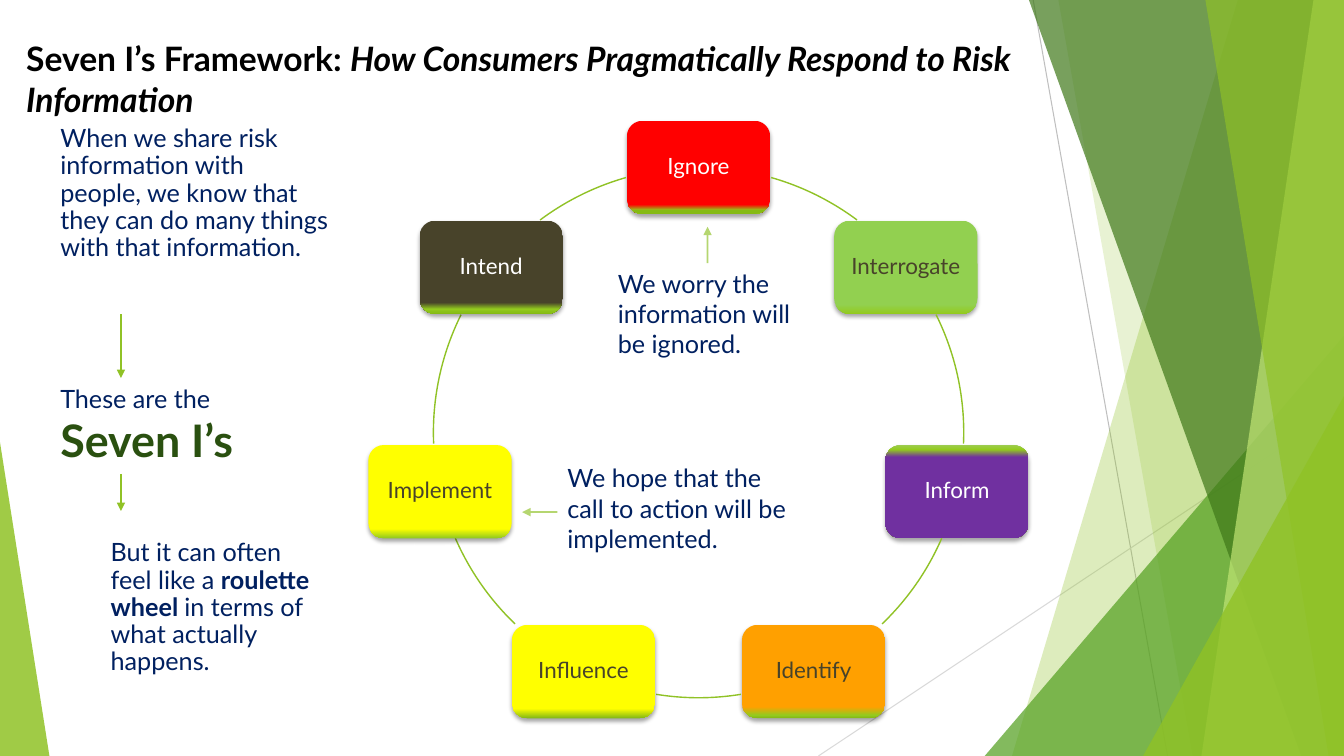
"""Build the Seven I's Framework slide: a ring of seven consumer responses to risk information."""
from math import cos, pi, sin

from lxml.etree import SubElement
from pptx import Presentation
from pptx.dml.color import RGBColor
from pptx.enum.shapes import MSO_CONNECTOR, MSO_SHAPE
from pptx.enum.text import MSO_ANCHOR, MSO_AUTO_SIZE, PP_ALIGN
from pptx.oxml.ns import qn
from pptx.util import Pt

FONT = "Lato"
BLACK = RGBColor(0x00, 0x00, 0x00)
WHITE = RGBColor(0xFF, 0xFF, 0xFF)
NAVY = RGBColor(0x00, 0x20, 0x60)
FOREST = RGBColor(0x2A, 0x50, 0x10)
GREEN = RGBColor(0x90, 0xC2, 0x26)
LEAF = RGBColor(0x54, 0xA0, 0x21)
MOSS = RGBColor(0x3F, 0x78, 0x19)
PALE_GREEN = RGBColor(0xC0, 0xE4, 0x74)
SILVER = RGBColor(0xBF, 0xBF, 0xBF)
MIST = RGBColor(0xD9, 0xD9, 0xD9)
RED = RGBColor(0xFF, 0x00, 0x00)
LIME = RGBColor(0x92, 0xD0, 0x50)
PURPLE = RGBColor(0x70, 0x30, 0xA0)
ORANGE = RGBColor(0xFF, 0xA0, 0x00)
YELLOW = RGBColor(0xFF, 0xFF, 0x00)
OLIVE = RGBColor(0x48, 0x43, 0x2A)
RIM_TOP = RGBColor(0x9D, 0xCC, 0x51)
RIM = RGBColor(0x93, 0xCA, 0x1E)
RIM_DARK = RGBColor(0x85, 0xBA, 0x14)


def add_xml(parent, tag, **attributes):
    return SubElement(parent, qn(tag), {key: str(value) for key, value in attributes.items()})


def write(paragraph, text, size=18, color=NAVY, bold=False, italic=False):
    run = paragraph.add_run()
    run.text = text
    run.font.name = FONT
    run.font.size = Pt(size)
    run.font.color.rgb = color
    run.font.bold = bold
    run.font.italic = italic


deck = Presentation()
deck.slide_width, deck.slide_height = Pt(960), Pt(540)
slide = deck.slides.add_slide(deck.slide_layouts[5])
shapes = slide.shapes

heading = shapes.title
heading.left, heading.top, heading.width, heading.height = Pt(11.5), Pt(23.8), Pt(828), Pt(66)
heading.text_frame.word_wrap = True
heading.text_frame.auto_size = MSO_AUTO_SIZE.NONE
heading.text_frame.vertical_anchor = MSO_ANCHOR.TOP
heading_line = heading.text_frame.paragraphs[0]
heading_line.alignment = PP_ALIGN.LEFT
write(heading_line, "Seven I’s Framework: ", size=24, color=BLACK, bold=True)
write(heading_line, "How Consumers Pragmatically Respond to Risk Information",
      size=24, color=BLACK, bold=True, italic=True)

# (from, to, colour, width, opacity %, arrowhead)
strokes = [
    ((738, 0), (834, 540), SILVER, 0.75, 100, False),
    ((960, 290), (584.6, 540), MIST, 0.75, 100, False),
    ((505.4, 188), (505.4, 162), GREEN, 1.25, 66, True),
    ((398.2, 365.8), (373, 365.8), GREEN, 1.25, 66, True),
    ((86.4, 224.6), (86.4, 270), GREEN, 1, 100, True),
    ((86.4, 338.4), (86.4, 365), GREEN, 1, 100, True),
]
for start, end, color, width, opacity, arrow in strokes:
    stroke = shapes.add_connector(MSO_CONNECTOR.STRAIGHT, *map(Pt, start + end))
    stroke.line.color.rgb = color
    stroke.line.width = Pt(width)
    properties = stroke._element.spPr
    if opacity < 100:
        add_xml(next(properties.iter(qn("a:srgbClr"))), "a:alpha", val=opacity * 1000)
    if arrow:
        add_xml(properties.find(qn("a:ln")), "a:tailEnd", type="triangle")
    add_xml(properties, "a:effectLst")

facets = [
    ((884.2, 722.9), GREEN, 30),
    ((756, 851.8), GREEN, 20),
    ((703.4, 239.8, 256.6, 300.2, 1), LEAF, 72),
    ((735, 929.5), MOSS, 70),
    ((938.2, 858.2), PALE_GREEN, 70),
    ((861, 949), GREEN, 65),
    ((816.5, 283, 143.5, 257, 1), GREEN, 80),
    ((0, 316, 35.3, 224, 0), GREEN, 85),
]
for outline, color, opacity in facets:
    if len(outline) == 2:
        top_x, bottom_x = outline
        builder = shapes.build_freeform(Pt(top_x), 0)
        builder.add_line_segments([(Pt(960), 0), (Pt(960), Pt(540)), (Pt(bottom_x), Pt(540))])
        facet = builder.convert_to_shape()
    else:
        *frame, apex = outline
        facet = shapes.add_shape(MSO_SHAPE.ISOSCELES_TRIANGLE, *map(Pt, frame))
        facet.adjustments[0] = apex
    facet.shadow.inherit = False
    facet.line.fill.background()
    facet.fill.solid()
    facet.fill.fore_color.rgb = color
    add_xml(next(facet._element.spPr.iter(qn("a:srgbClr"))), "a:alpha", val=opacity * 1000)

CENTER_X, CENTER_Y, RADIUS = 499, 309, 189.4
CARD_WIDTH, CARD_HEIGHT = 102.4, 66.6
responses = [
    ("Ignore", WHITE, [(90, RED), (96, RIM), (96, RIM_DARK)], (285.9, 306.7)),
    ("Interrogate", OLIVE, [(90, LIME), (100, RIM), (100, RIM_DARK)], (333.6, 2.4)),
    ("Inform", WHITE, [(0, RIM_TOP), (5, RIM), (13, PURPLE)], (23.5, 46.2)),
    ("Identify", OLIVE, [(88, ORANGE), (97, RIM), (100, RIM_DARK)], (80.8, 99.2)),
    ("Influence", OLIVE, [(0, YELLOW), (90, YELLOW), (100, RIM_DARK)], (133.8, 156.5)),
    ("Implement", OLIVE, [(90, YELLOW), (100, RIM), (100, RIM_DARK)], (177.6, 206.4)),
    ("Intend", WHITE, [(88, OLIVE), (95, RIM), (100, RIM_DARK)], (233.3, 254.1)),
]
for position, (label, label_color, stops, arc_span) in enumerate(responses):
    angle = 2 * pi * position / len(responses)
    card = shapes.add_shape(
        MSO_SHAPE.ROUNDED_RECTANGLE,
        Pt(CENTER_X + RADIUS * sin(angle) - CARD_WIDTH / 2),
        Pt(CENTER_Y - RADIUS * cos(angle) - CARD_HEIGHT / 2),
        Pt(CARD_WIDTH), Pt(CARD_HEIGHT))
    card.line.fill.background()
    card.fill.gradient()
    card.fill.gradient_angle = 270
    stop_list = next(card._element.spPr.iter(qn("a:gsLst")))
    stop_list.clear()
    for percent, color in stops:
        add_xml(add_xml(stop_list, "a:gs", pos=percent * 1000), "a:srgbClr", val=color)
    card.shadow.inherit = False
    shadow = add_xml(card._element.spPr.find(qn("a:effectLst")), "a:outerShdw",
                     blurRad=Pt(3), dist=Pt(2), dir=5400000, rotWithShape=0)
    add_xml(add_xml(shadow, "a:srgbClr", val=BLACK), "a:alpha", val=35000)
    frame = card.text_frame
    frame.word_wrap = True
    frame.vertical_anchor = MSO_ANCHOR.MIDDLE
    frame.margin_left = frame.margin_right = frame.margin_top = frame.margin_bottom = Pt(5)
    frame.paragraphs[0].alignment = PP_ALIGN.CENTER
    frame.paragraphs[0].line_spacing = 0.9
    write(frame.paragraphs[0], label, size=16, color=label_color)

    arc = shapes.add_shape(MSO_SHAPE.ARC, Pt(CENTER_X - RADIUS), Pt(CENTER_Y - RADIUS),
                           Pt(2 * RADIUS), Pt(2 * RADIUS))
    for end, degrees in enumerate(arc_span):
        arc.adjustments[end] = degrees * 0.6
    arc.shadow.inherit = False
    arc.fill.background()
    arc.line.color.rgb = GREEN
    arc.line.width = Pt(1)

remarks = [
    ((36, 86.4, 207.4, 125.3), 0.9, [
        ("When we share risk information with people, we know that they can do many things "
         "with that information.", {})]),
    ((434.2, 188, 142.6, 72.7), 1, [("We worry the information will be ignored.", {})]),
    ((398.2, 326.9, 178.6, 72.7), 1, [
        ("We hope that the call to action will be implemented.", {})]),
    ((36, 270, 158.4, 67.7), 1, [
        ("These are the ", {}), ("Seven I’s", {"size": 32, "color": FOREST, "bold": True})]),
    ((72, 382.3, 168.5, 106), 0.9, [
        ("But it can often feel like a ", {}), ("roulette wheel ", {"bold": True}),
        ("in terms of what actually happens.", {})]),
]
for frame_box, spacing, pieces in remarks:
    remark = shapes.add_textbox(*map(Pt, frame_box)).text_frame
    remark.word_wrap = True
    remark.paragraphs[0].line_spacing = spacing
    for text, style in pieces:
        write(remark.paragraphs[0], text, **style)

deck.save("out.pptx")
